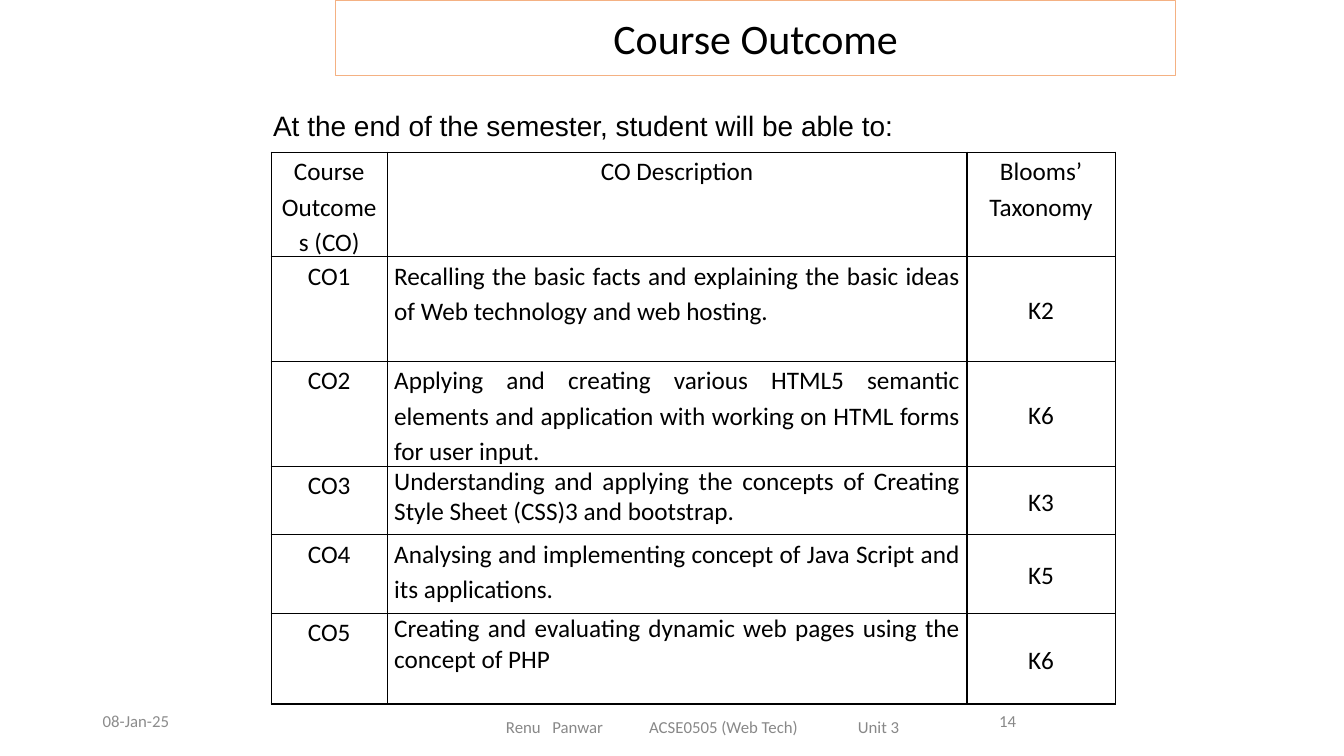
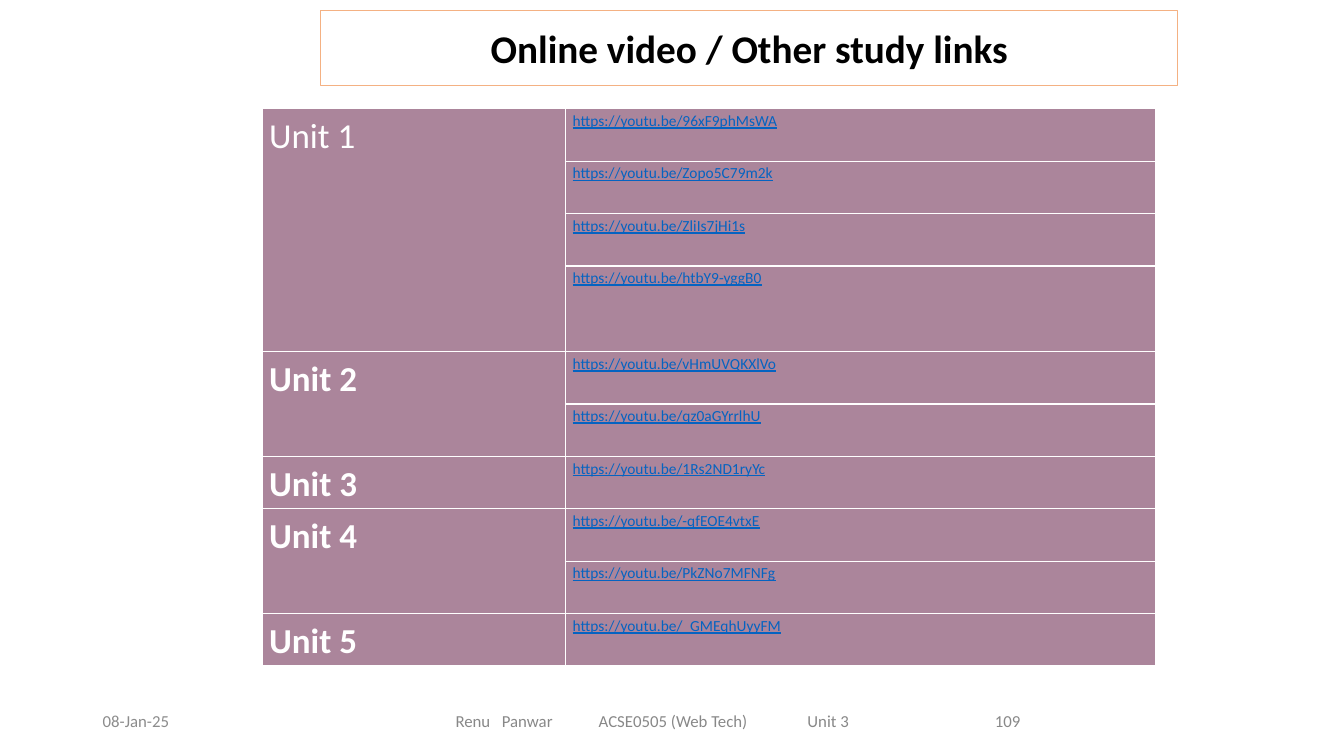
from lxml import etree
from pptx import Presentation
from pptx import util as u
from pptx.dml.color import RGBColor
from pptx.enum import text
from pptx.oxml import ns

PX = 9144
COLORS = {
    "ink": "000000",
    "frame": "F4B183",
    "footer": "888888",
    "date": "8C8C8C",
    "mauve": "AB859B",
    "white": "FFFFFF",
    "link": "0563C1",
}
FOOTER = "Renu\tPanwar\tACSE0505 (Web Tech)\tUnit 3"
FOOTER_TABS = (46, 142, 349)
LEFT, CENTER, JUSTIFY = text.PP_ALIGN.LEFT, text.PP_ALIGN.CENTER, text.PP_ALIGN.JUSTIFY
TOP, MIDDLE = text.MSO_ANCHOR.TOP, text.MSO_ANCHOR.MIDDLE

OUTCOME_COLUMNS = (115, 575, 147)
OUTCOME_ROWS = (103, 104, 104, 68, 78, 90)
OUTCOME_HEADER = ("Course Outcomes (CO)", "CO Description", "Blooms’ Taxonomy")
OUTCOMES = [
    ("CO1", "Recalling the basic facts and explaining the basic ideas of Web technology and web hosting.", "K2", 1.15),
    ("CO2", "Applying and creating various HTML5 semantic elements and application with working on "
            "HTML forms for user input.", "K6", 1.15),
    ("CO3", "Understanding and applying the concepts of Creating Style Sheet (CSS)3 and bootstrap.", "K3", 1),
    ("CO4", "Analysing and implementing concept of Java Script and its applications.", "K5", 1.15),
    ("CO5", "Creating and evaluating dynamic web pages using the concept of PHP", "K6", 1),
]

LINK_COLUMNS = (301, 585)
LINK_ROWS = (52, 52, 52, 85, 52, 52, 52, 52, 52, 52)
UNIT_LINKS = [
    ("Unit 1", ["https://youtu.be/96xF9phMsWA", "https://youtu.be/Zopo5C79m2k",
                "https://youtu.be/ZliIs7jHi1s", "https://youtu.be/htbY9-yggB0"]),
    ("Unit 2", ["https://youtu.be/vHmUVQKXlVo", "https://youtu.be/qz0aGYrrlhU"]),
    ("Unit 3", ["https://youtu.be/1Rs2ND1ryYc"]),
    ("Unit 4", ["https://youtu.be/-qfEOE4vtxE", "https://youtu.be/PkZNo7MFNFg"]),
    ("Unit 5", ["https://youtu.be/_GMEqhUyyFM"]),
]


def px(*lengths):
    """Turn px lengths into EMU."""
    return [u.Emu(length * PX) for length in lengths]


def rgb(name):
    """Look up a named colour."""
    return RGBColor.from_string(COLORS[name])


def write(frame, words, size, color="ink", align=LEFT, font="Calibri",
          bold=False, underline=False, spacing=None):
    """Fill a text frame with one formatted paragraph."""
    frame.text = words
    paragraph = frame.paragraphs[0]
    paragraph.alignment = align
    paragraph.line_spacing = spacing
    for run in paragraph.runs:
        run.font.size = u.Pt(size)
        run.font.name = font
        run.font.bold = bold
        run.font.underline = underline
        run.font.color.rgb = rgb(color)
    return paragraph


def add_label(slide, box, words, size, **style):
    """Add a vertically centred text box."""
    frame = slide.shapes.add_textbox(*px(*box)).text_frame
    frame.word_wrap = True
    frame.vertical_anchor = MIDDLE
    return write(frame, words, size, **style)


def set_tabs(paragraph, stops):
    """Give a paragraph left tab stops."""
    tabs = etree.SubElement(paragraph._p.get_or_add_pPr(), ns.qn("a:tabLst"))
    for stop in px(*stops):
        etree.SubElement(tabs, ns.qn("a:tab"), pos=str(stop), algn="l")


def add_page(deck, title, title_box, size, bold, footer_box, number):
    """Add a slide with its framed title, date, footer and number."""
    slide = deck.slides.add_slide(deck.slide_layouts[5])
    heading = slide.shapes.title
    heading.left, heading.top, heading.width, heading.height = px(*title_box)
    heading.line.color.rgb = rgb("frame")
    heading.line.width = u.Pt(0.5)
    frame = heading.text_frame
    frame.auto_size = text.MSO_AUTO_SIZE.NONE
    frame.vertical_anchor = MIDDLE
    write(frame, title, size, align=CENTER, bold=bold)
    add_label(slide, (92, 695, 300, 40), "08-Jan-25", 12, color="date")
    footer = add_label(slide, footer_box, FOOTER, 12, color="footer")
    set_tabs(footer, FOOTER_TABS)
    add_label(slide, (883, 695, 233, 40), number, 12, color="footer", align=CENTER)
    return slide


def set_borders(cell, color):
    """Draw a one-point border on every side of a cell."""
    properties = cell._tc.get_or_add_tcPr()
    for index, side in enumerate(("lnL", "lnR", "lnT", "lnB")):
        line = etree.Element(ns.qn(f"a:{side}"), w=str(u.Pt(1)))
        fill = etree.SubElement(line, ns.qn("a:solidFill"))
        etree.SubElement(fill, ns.qn("a:srgbClr"), val=COLORS[color])
        properties.insert(index, line)


def add_grid(slide, left, top, columns, rows, border, fill=None):
    """Add an empty table with uniform borders and fill."""
    box = px(left, top, sum(columns), sum(rows))
    table = slide.shapes.add_table(len(rows), len(columns), *box).table
    table.first_row = table.horz_banding = False
    for column, width in zip(table.columns, px(*columns)):
        column.width = width
    for row, height in zip(table.rows, px(*rows)):
        row.height = height
    for cell in table.iter_cells():
        cell.margin_left, cell.margin_right = px(7, 7)
        cell.margin_top = cell.margin_bottom = 0
        if fill:
            cell.fill.solid()
            cell.fill.fore_color.rgb = rgb(fill)
        else:
            cell.fill.background()
        set_borders(cell, border)
    return table


def fill_cell(cell, words, size, anchor=TOP, spacing=1.15, **style):
    """Write and anchor the text of a table cell."""
    cell.vertical_anchor = anchor
    write(cell.text_frame, words, size, spacing=spacing, **style)


def build_outcomes(deck):
    """Build the course outcome slide."""
    slide = add_page(deck, "Course Outcome", (333, 0, 833, 75), 30, False,
                     (492, 701, 758, 40), "14")
    add_label(slide, (261, 102, 950, 44),
              "At the end of the semester, student will be able to:", 20, font="Arial")
    table = add_grid(slide, 269, 151, OUTCOME_COLUMNS, OUTCOME_ROWS, "ink")
    for column, words in enumerate(OUTCOME_HEADER):
        fill_cell(table.cell(0, column), words, 18, align=CENTER)
    for row, (code, description, level, spacing) in enumerate(OUTCOMES, 1):
        fill_cell(table.cell(row, 0), code, 18, align=CENTER)
        fill_cell(table.cell(row, 1), description, 18, align=JUSTIFY, spacing=spacing)
        fill_cell(table.cell(row, 2), level, 18, anchor=MIDDLE, align=CENTER)


def build_links(deck):
    """Build the study links slide."""
    slide = add_page(deck, "Online video / Other study links", (318, 10, 850, 75), 28, True,
                     (442, 695, 550, 40), "109")
    table = add_grid(slide, 260, 108, LINK_COLUMNS, LINK_ROWS, "white", "mauve")
    row = 0
    for unit, links in UNIT_LINKS:
        name = table.cell(row, 0)
        if len(links) > 1:
            name.merge(table.cell(row + len(links) - 1, 0))
        fill_cell(name, unit, 25, color="white", bold=row > 0)
        for offset, link in enumerate(links):
            fill_cell(table.cell(row + offset, 1), link, 11, color="link", underline=True)
        row += len(links)


def main():
    """Build and save the presentation."""
    deck = Presentation()
    deck.slide_width, deck.slide_height = px(1333, 750)
    build_outcomes(deck)
    build_links(deck)
    deck.save("out.pptx")


if __name__ == "__main__":
    main()
